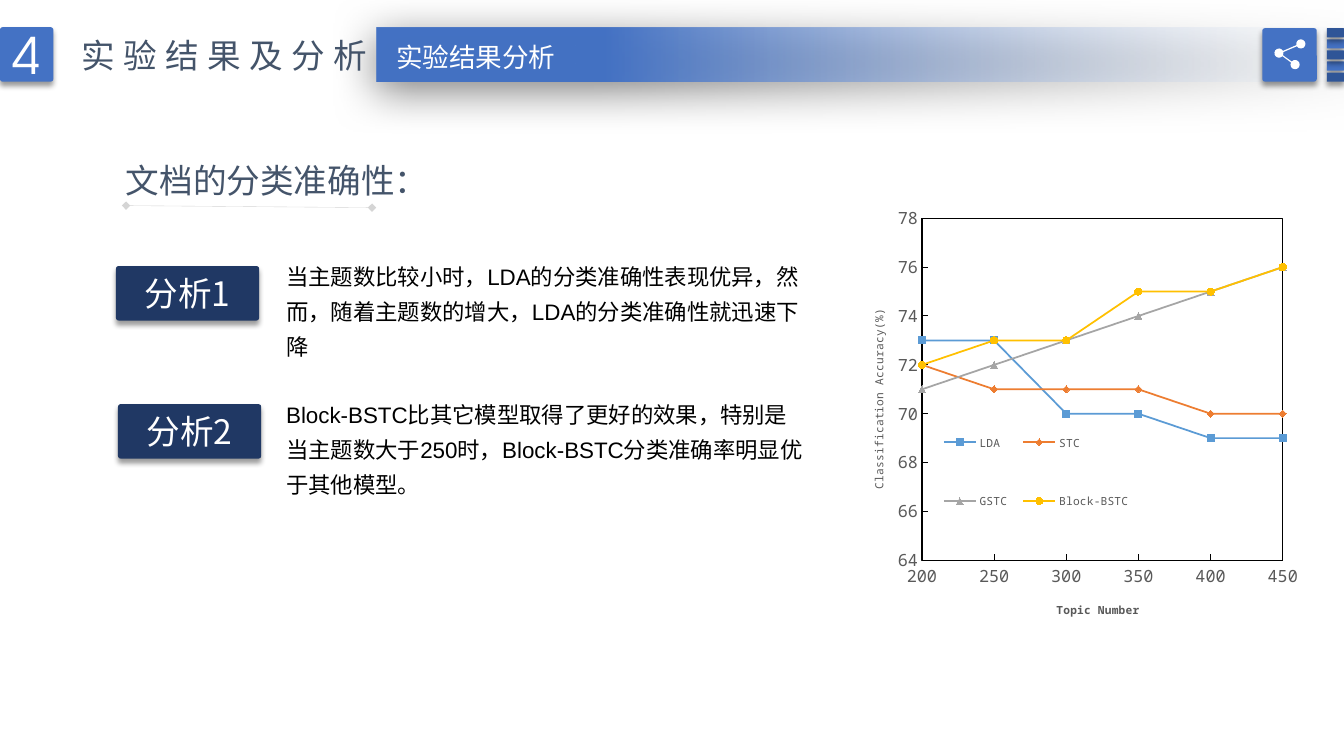
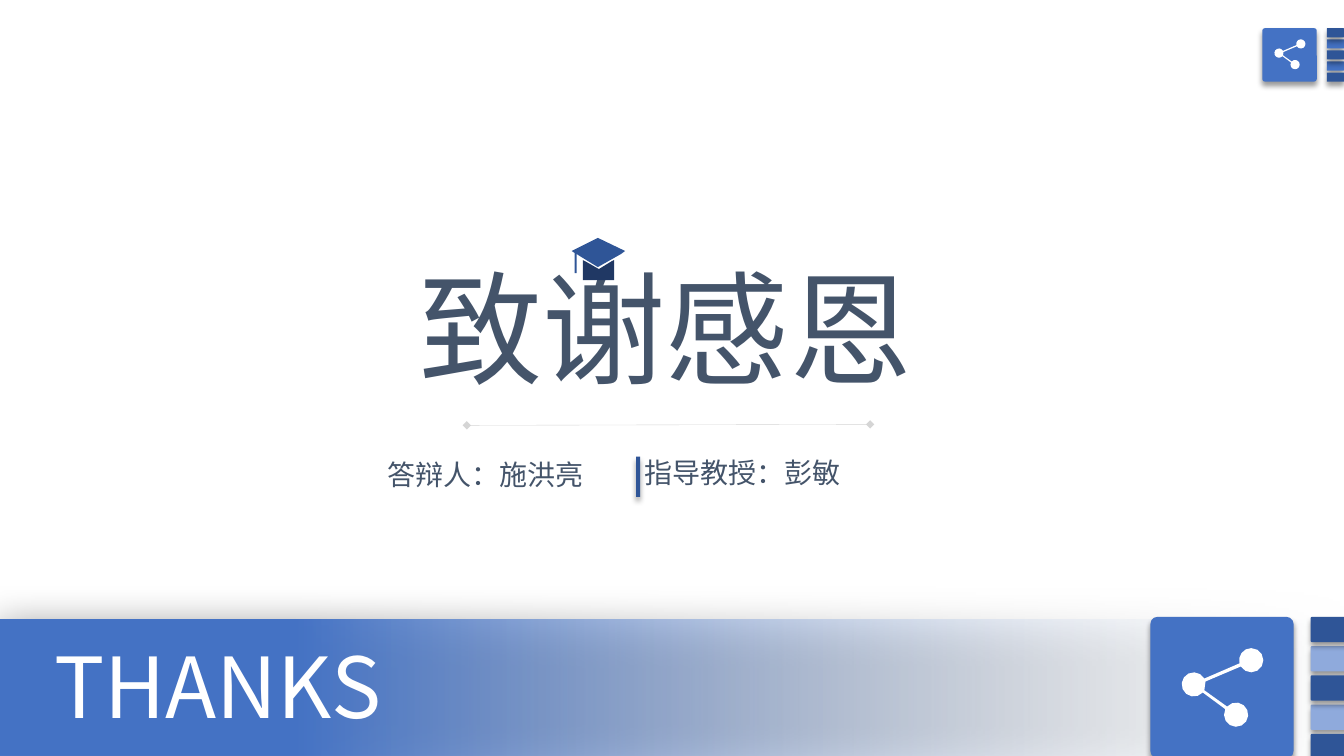
from dataclasses import dataclass
from math import cos, radians, sin
from typing import Any, Optional

from lxml.etree import SubElement
from pptx import Presentation
from pptx.chart.data import CategoryChartData
from pptx.dml.color import RGBColor
from pptx.enum.chart import XL_CHART_TYPE, XL_LEGEND_POSITION, XL_MARKER_STYLE, XL_TICK_MARK
from pptx.enum.shapes import MSO_CONNECTOR, MSO_SHAPE
from pptx.enum.text import MSO_ANCHOR, MSO_AUTO_SIZE, PP_ALIGN
from pptx.oxml.ns import qn
from pptx.util import Inches, Pt

COLORS = {
    "white": "FFFFFF", "black": "000000", "slate": "44546A", "blue": "4472C4",
    "deep": "2F5597", "navy": "203864", "pale": "8FAADC", "mist": "F7FAFD",
    "gray": "808080", "label": "595959",
    "lda": "5B9BD5", "stc": "ED7D31", "gstc": "A5A5A5", "block": "FFC000",
}
CJK = "Noto Sans CJK SC"
MONO = "Noto Sans Mono"
DISPLAY = "TeX Gyre Adventor"

Box = tuple[float, float, float, float]


@dataclass
class Shadow:
    alpha: int
    blur: float
    dist: float
    angle: int


@dataclass
class Label:
    text: str
    size: int
    color: str = "slate"
    font: str = CJK
    align: PP_ALIGN = PP_ALIGN.LEFT
    anchor: MSO_ANCHOR = MSO_ANCHOR.TOP
    wrap: bool = False
    line_spacing: Optional[float] = None
    tracking: int = 0


@dataclass
class Badge:
    """Share icon on a card, with a stack of bars beside it."""
    card: Box
    icon: tuple[float, float]
    scale: float
    bar: Box
    step: float
    alternate: str


@dataclass
class Arc:
    cx: float
    cy: float
    start: int
    end: int


@dataclass
class Series:
    name: str
    values: tuple[int, ...]
    color: str
    marker: XL_MARKER_STYLE


SOFT = Shadow(40, 4, 3, 90)
WIDE = Shadow(50, 31, 6, 97)
SMALL_BADGE = Badge((12.52, 0.28, 0.54, 0.53), (12.64, 0.39), 0.38,
                    (13.16, 0.28, 0.17, 0.09), 0.11, "blue")
LARGE_BADGE = Badge((11.41, 6.12, 1.42, 1.4), (11.72, 6.43), 1,
                    (13, 6.12, 0.4, 0.25), 0.29, "pale")
BAR_ORDER = (3, 4, 1, 2, 0)  # back to front, counted from the top
# Outline of the share icon: arcs round three nodes, joined by straight edges
NODE_RADIUS = 0.12
ARC_STEP = 30
SHARE_ARCS = [
    Arc(0.69, 0.12, -90, -195), Arc(0.12, 0.36, -29, -318),
    Arc(0.54, 0.66, -153, -498), Arc(0.12, 0.36, 29, -14),
    Arc(0.69, 0.12, 149, -90),
]
CAP = [(5.75, 2.54), (5.93, 2.65), (6.16, 2.52), (6.2, 2.49), (5.93, 2.36), (5.67, 2.49),
       (5.7, 2.51), (5.7, 2.71), (5.72, 2.71), (5.72, 2.52)]
CAP_BASE = [(6.07, 2.59), (5.94, 2.67), (5.8, 2.59), (5.78, 2.58), (5.78, 2.78),
            (6.09, 2.78), (6.09, 2.58)]
SERIES = [
    Series("LDA", (73, 73, 70, 70, 69, 69), "lda", XL_MARKER_STYLE.SQUARE),
    Series("STC", (72, 71, 71, 71, 70, 70), "stc", XL_MARKER_STYLE.DIAMOND),
    Series("GSTC", (71, 72, 73, 74, 75, 76), "gstc", XL_MARKER_STYLE.TRIANGLE),
    Series("Block-BSTC", (72, 73, 73, 75, 75, 76), "block", XL_MARKER_STYLE.CIRCLE),
]


def rgb(name: str) -> RGBColor:
    return RGBColor.from_string(COLORS[name])


def apply(target: Any, values: dict[str, Any]) -> None:
    for key, value in values.items():
        setattr(target, key, value)


def inches(values: tuple[float, ...]) -> list[int]:
    return [Inches(v) for v in values]


# Shared drawing helpers
def add_alpha(color: Any, percent: int) -> None:
    SubElement(color, qn("a:alpha")).set("val", str(percent * 1000))


def finish(sp: Any, shadow: Optional[Shadow] = None) -> None:
    sp.line.fill.background()
    sp.shadow.inherit = False
    if shadow:
        effects = sp._element.spPr.find(qn("a:effectLst"))
        outer = SubElement(effects, qn("a:outerShdw"), blurRad=str(Pt(shadow.blur)),
                           dist=str(Pt(shadow.dist)), dir=str(shadow.angle * 60000),
                           algn="t", rotWithShape="0")
        add_alpha(SubElement(outer, qn("a:srgbClr"), val=COLORS["black"]), shadow.alpha)


def write(sp: Any, label: Label) -> None:
    tf = sp.text_frame
    apply(tf, {"word_wrap": label.wrap, "vertical_anchor": label.anchor})
    p = tf.paragraphs[0]
    apply(p, {"alignment": label.align, "line_spacing": label.line_spacing})
    r = p.add_run()
    r.text = label.text
    apply(r.font, {"size": Pt(label.size), "name": label.font})
    r.font.color.rgb = rgb(label.color)
    props = r.font._element
    SubElement(props, qn("a:ea"), typeface=CJK)
    if label.tracking:
        props.set("spc", str(label.tracking * 100))


def add_text(s: Any, box: Box, label: Label) -> None:
    sp = s.shapes.add_textbox(*inches(box))
    sp.text_frame.auto_size = MSO_AUTO_SIZE.SHAPE_TO_FIT_TEXT
    write(sp, label)


def place_title(s: Any, box: Box, label: Label) -> None:
    title = s.shapes.title
    apply(title, dict(zip(("left", "top", "width", "height"), inches(box))))
    title.text_frame.auto_size = MSO_AUTO_SIZE.SHAPE_TO_FIT_TEXT
    write(title, label)
    s.shapes._spTree.append(title._element)


def add_tile(s: Any, box: Box, color: str, label: Optional[Label] = None) -> None:
    sp = s.shapes.add_shape(MSO_SHAPE.ROUNDED_RECTANGLE, *inches(box))
    sp.adjustments[0] = 0.05
    sp.fill.solid()
    sp.fill.fore_color.rgb = rgb(color)
    finish(sp, SOFT)
    if label:
        write(sp, label)


def add_band(s: Any, box: Box) -> None:
    sp = s.shapes.add_shape(MSO_SHAPE.RECTANGLE, *inches(box))
    sp.fill.gradient()
    sp.fill.gradient_angle = 180
    for stop, (position, color) in zip(sp.fill.gradient_stops, [(0, "mist"), (0.78, "blue")]):
        stop.position = position
        stop.color.rgb = rgb(color)
    add_alpha(next(sp._element.spPr.iter(qn("a:srgbClr"))), 0)
    finish(sp, WIDE)


def add_outline(s: Any, points: list[tuple[float, float]], color: str) -> None:
    start, *rest = [(Inches(x), Inches(y)) for x, y in points]
    builder = s.shapes.build_freeform(*start)
    builder.add_line_segments(rest, close=True)
    sp = builder.convert_to_shape()
    sp.fill.solid()
    sp.fill.fore_color.rgb = rgb(color)
    finish(sp)


def add_rule(s: Any, ends: Box) -> None:
    line = s.shapes.add_connector(MSO_CONNECTOR.STRAIGHT, *inches(ends))
    line.line.width = Pt(0.25)
    line.line.color.rgb = rgb("gray")
    props = line._element.spPr
    add_alpha(next(props.iter(qn("a:srgbClr"))), 33)
    for end in ("a:headEnd", "a:tailEnd"):
        SubElement(props.find(qn("a:ln")), qn(end), type="diamond")
    SubElement(props, qn("a:effectLst"))


def add_badge(s: Any, badge: Badge) -> None:
    x, y, w, h = badge.bar
    for i in BAR_ORDER:
        add_tile(s, (x, y + i * badge.step, w, h), badge.alternate if i % 2 else "deep")
    add_tile(s, badge.card, "blue")
    points = []
    for arc in SHARE_ARCS:
        steps = round(abs(arc.end - arc.start) / ARC_STEP)
        for i in range(steps + 1):
            angle = radians(arc.start + (arc.end - arc.start) * i / steps)
            points.append((badge.icon[0] + badge.scale * (arc.cx + NODE_RADIUS * cos(angle)),
                           badge.icon[1] + badge.scale * (arc.cy + NODE_RADIUS * sin(angle))))
    add_outline(s, points[:-1], "white")


# Chart
def set_layout(parent: Any, index: int, place: tuple[float, ...], inner: bool = False) -> None:
    layout = parent.find(qn("c:layout"))
    if layout is None:
        layout = parent.makeelement(qn("c:layout"))
        parent.insert(index, layout)
    manual = SubElement(layout, qn("c:manualLayout"))
    if inner:
        SubElement(manual, qn("c:layoutTarget"), val="inner")
    for mode in ("xMode", "yMode"):
        SubElement(manual, qn(f"c:{mode}"), val="edge")
    for key, value in zip("xywh", place):
        SubElement(manual, qn(f"c:{key}"), val=str(value))


def style_axis(axis: Any, title: str, bold: bool, place: tuple[float, float]) -> None:
    apply(axis, {"has_major_gridlines": False, "major_tick_mark": XL_TICK_MARK.INSIDE,
                 "minor_tick_mark": XL_TICK_MARK.NONE})
    axis.format.line.width = Pt(0.75)
    axis.format.line.color.rgb = rgb("black")
    p = axis.axis_title.text_frame.paragraphs[0]
    r = p.add_run()
    r.text = title
    for font, size, weight in ((axis.tick_labels.font, 12, False), (r.font, 8, bold)):
        apply(font, {"size": Pt(size), "bold": weight, "name": MONO})
        font.color.rgb = rgb("label")
    set_layout(axis.axis_title._element, 1, place)


def add_accuracy_chart(s: Any, box: Box) -> None:
    data = CategoryChartData(number_format="0")
    data.categories = [str(n) for n in range(200, 451, 50)]
    for item in SERIES:
        data.add_series(item.name, item.values)
    chart = s.shapes.add_chart(XL_CHART_TYPE.LINE_MARKERS, *inches(box), data).chart
    apply(chart, {"has_title": False, "has_legend": True})
    apply(chart.font, {"size": Pt(10), "name": DISPLAY})
    chart.font.color.rgb = rgb("black")
    chart.plots[0].vary_by_categories = False
    for series, item in zip(chart.plots[0].series, SERIES):
        series.smooth = False
        series.format.line.width = Pt(1.25)
        apply(series.marker, {"style": item.marker, "size": 5})
        series.marker.format.fill.solid()
        for color in (series.format.line.color, series.marker.format.fill.fore_color,
                      series.marker.format.line.color):
            color.rgb = rgb(item.color)

    style_axis(chart.category_axis, "Topic Number", True, (0.45, 0.93))
    style_axis(chart.value_axis, "Classification Accuracy(%)", False, (0.04, 0.24))
    apply(chart.value_axis, {"minimum_scale": 64, "maximum_scale": 78, "major_unit": 2})
    axis = chart.value_axis._element
    between = axis.find(qn("c:crossBetween"))
    if between is None:
        between = axis.makeelement(qn("c:crossBetween"))
        axis.find(qn("c:crosses")).addnext(between)
    between.set("val", "midCat")

    legend = chart.legend
    apply(legend, {"position": XL_LEGEND_POSITION.BOTTOM, "include_in_layout": False})
    apply(legend.font, {"size": Pt(8), "name": MONO})
    legend.font.color.rgb = rgb("label")
    set_layout(legend._element, 1, (0.18, 0.44, 0.46, 0.38))

    # Frame round the plot
    plot_area = chart._chartSpace.chart.plotArea
    set_layout(plot_area, 0, (0.16, 0.03, 0.79, 0.81), inner=True)
    frame = SubElement(SubElement(plot_area, qn("c:spPr")), qn("a:ln"), w=str(Pt(0.75)))
    SubElement(SubElement(frame, qn("a:solidFill")), qn("a:srgbClr"), val=COLORS["black"])


# Slides
def results_slide(prs: Any) -> None:
    s = prs.slides.add_slide(prs.slide_layouts[5])
    centered = {"color": "white", "align": PP_ALIGN.CENTER, "anchor": MSO_ANCHOR.MIDDLE}
    add_band(s, (3.74, 0.27, 10.26, 0.54))
    add_tile(s, (0, 0.27, 0.53, 0.54), "blue",
             Label("4", 36, font=DISPLAY, wrap=True, **centered))
    place_title(s, (0.71, 0.3, 3.15, 0.5), Label("实验结果及分析", 24, tracking=6))
    add_text(s, (3.82, 0.36, 1.8, 0.42),
             Label("实验结果分析", 19, "white", align=PP_ALIGN.CENTER))
    add_badge(s, SMALL_BADGE)
    add_rule(s, (1.25, 2.04, 3.69, 2.06))
    add_text(s, (1.15, 1.42, 3.23, 0.63), Label("文档的分类准确性：", 24, line_spacing=1.3))
    findings = [
        (1.15, 2.64, 2.48, "分析1",
         "当主题数比较小时，LDA的分类准确性表现优异，然而，随着主题数的增大，LDA的分类准确性就迅速下降"),
        (1.17, 4.01, 3.85, "分析2",
         "Block-BSTC比其它模型取得了更好的效果，特别是当主题数大于250时，Block-BSTC分类准确率明显优于其他模型。"),
    ]
    for x, tile_top, text_top, heading, body in findings:
        add_tile(s, (x, tile_top, 1.42, 0.54), "navy", Label(heading, 24, wrap=True, **centered))
        add_text(s, (2.74, text_top, 5.37, 1.15),
                 Label(body, 16, "black", "Arial", wrap=True, line_spacing=1.3))
    add_accuracy_chart(s, (8.42, 2.04, 4.53, 4.19))


def thanks_slide(prs: Any) -> None:
    s = prs.slides.add_slide(prs.slide_layouts[5])
    place_title(s, (4.06, 2.45, 5.21, 1.62), Label("致谢感恩", 88))
    for x, y, text in ((3.72, 4.49, "答辩人：施洪亮"), (6.27, 4.47, "指导教授：彭敏")):
        add_text(s, (x, y, 2.17, 0.44), Label(text, 20, align=PP_ALIGN.RIGHT))
    add_rule(s, (4.63, 4.22, 8.63, 4.21))
    add_badge(s, SMALL_BADGE)
    add_band(s, (-0.01, 6.15, 13.33, 1.35))
    add_text(s, (0.44, 6.25, 9.71, 1.11), Label("THANKS", 60, "white", wrap=True))
    add_badge(s, LARGE_BADGE)
    add_tile(s, (6.31, 4.53, 0.04, 0.4), "deep")
    add_outline(s, CAP, "deep")
    add_outline(s, CAP_BASE, "navy")


def main() -> None:
    prs = Presentation()
    apply(prs, {"slide_width": Inches(13.33), "slide_height": Inches(7.5)})
    results_slide(prs)
    thanks_slide(prs)
    prs.save("out.pptx")


if __name__ == "__main__":
    main()
